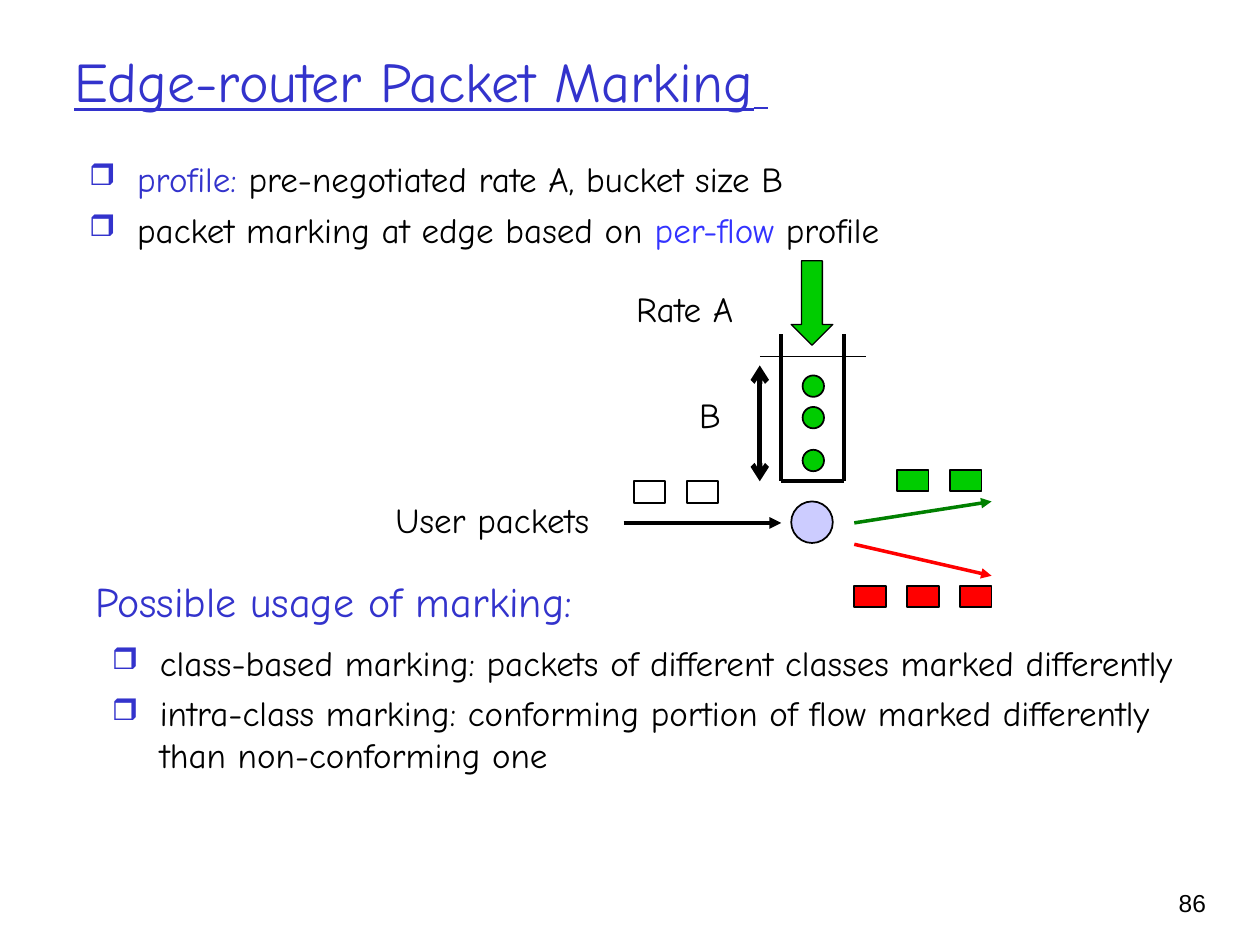
from dataclasses import dataclass
from typing import Optional

from lxml import etree
from pptx import Presentation
from pptx.dml.color import RGBColor
from pptx.enum import shapes, text
from pptx.oxml import ns
from pptx.util import Inches, Pt

KIND = shapes.MSO_SHAPE


@dataclass(frozen=True)
class Theme:
    blue: str = "3333CC"
    bright_blue: str = "3333FF"
    black: str = "000000"
    white: str = "FFFFFF"
    green: str = "00CC00"
    dark_green: str = "008000"
    red: str = "FF0000"
    lavender: str = "CCCCFF"
    font: str = "Comic Neue"
    number_font: str = "Arial"
    title: float = 32
    heading: float = 24
    body: float = 20
    number: float = 14


THEME = Theme()


@dataclass(frozen=True)
class Run:
    words: str
    color: str = THEME.black
    size: float = THEME.body
    font: str = THEME.font
    underline: bool = False


@dataclass(frozen=True)
class TextBox:
    left: float
    top: float
    width: float
    height: float
    paragraphs: tuple[tuple[Run, ...], ...]
    space_before: float = 0
    bulleted: bool = False
    grows: bool = False
    anchor: text.MSO_ANCHOR = text.MSO_ANCHOR.TOP
    align: text.PP_ALIGN = text.PP_ALIGN.LEFT


@dataclass(frozen=True)
class Figure:
    kind: shapes.MSO_SHAPE
    left: float
    top: float
    width: float
    height: float
    fill: str
    line_width: float = 1


@dataclass(frozen=True)
class Line:
    start: tuple[float, float]
    end: tuple[float, float]
    width: float
    color: str = THEME.black
    head: Optional[str] = None
    tail: Optional[str] = None


def rgb(value: str) -> RGBColor:
    return RGBColor.from_string(value)


def add_bullet(paragraph) -> None:
    """Hang the paragraph behind a blue box bullet."""
    properties = paragraph._p.get_or_add_pPr()
    properties.set("marL", str(Inches(0.38)))
    properties.set("indent", str(Inches(-0.38)))
    color = etree.SubElement(properties, ns.qn("a:buClr"))
    etree.SubElement(color, ns.qn("a:srgbClr"), val=THEME.blue)
    etree.SubElement(properties, ns.qn("a:buSzPct"), val="85000")
    etree.SubElement(properties, ns.qn("a:buChar"), char="❒")


def draw_text(slide, box: TextBox) -> None:
    shape = slide.shapes.add_textbox(*map(Inches, (box.left, box.top, box.width, box.height)))
    sizing = text.MSO_AUTO_SIZE
    frame = shape.text_frame
    frame_format = {
        "word_wrap": True,
        "vertical_anchor": box.anchor,
        "auto_size": sizing.SHAPE_TO_FIT_TEXT if box.grows else sizing.NONE,
    }
    for name, value in frame_format.items():
        setattr(frame, name, value)
    for index, runs in enumerate(box.paragraphs):
        paragraph = frame.add_paragraph() if index else frame.paragraphs[0]
        paragraph.alignment = box.align
        paragraph.space_before = Pt(box.space_before)
        if box.bulleted:
            add_bullet(paragraph)
        for item in runs:
            run = paragraph.add_run()
            run.text = item.words
            run_format = {"name": item.font, "size": Pt(item.size), "underline": item.underline}
            for name, value in run_format.items():
                setattr(run.font, name, value)
            run.font.color.rgb = rgb(item.color)


def draw_figure(slide, figure: Figure) -> None:
    place = map(Inches, (figure.left, figure.top, figure.width, figure.height))
    shape = slide.shapes.add_shape(figure.kind, *place)
    shape.shadow.inherit = False
    shape.fill.solid()
    shape.fill.fore_color.rgb = rgb(figure.fill)
    shape.line.color.rgb = rgb(THEME.black)
    shape.line.width = Pt(figure.line_width)


def draw_line(slide, line: Line) -> None:
    connector = slide.shapes.add_connector(
        shapes.MSO_CONNECTOR.STRAIGHT, *map(Inches, line.start + line.end))
    connector.line.color.rgb = rgb(line.color)
    connector.line.width = Pt(line.width)
    outline = connector.line._get_or_add_ln()
    for tag, arrow in (("a:headEnd", line.head), ("a:tailEnd", line.tail)):
        if arrow:
            etree.SubElement(outline, ns.qn(tag), type=arrow)
    etree.SubElement(connector._element.spPr, ns.qn("a:effectLst"))


def packets(left: float, top: float, count: int, fill: str) -> list[Figure]:
    """A row of equally spaced packets."""
    return [Figure(KIND.RECTANGLE, left + 0.42 * index, top, 0.25, 0.17, fill)
            for index in range(count)]


TEXTS = [
    TextBox(0.49, 0.26, 8.5, 0.75, ((
        Run("Edge-router Packet Marking", THEME.blue, THEME.title, underline=True),
        Run(" ", THEME.blue, THEME.heading, underline=True)),),
        anchor=text.MSO_ANCHOR.MIDDLE),
    TextBox(0.61, 1.2, 8.75, 1, (
        (Run("profile: ", THEME.blue), Run("pre-negotiated rate A, bucket size B")),
        (Run("packet marking at edge based on "), Run("per-flow", THEME.bright_blue),
         Run(" profile"))), space_before=5, bulleted=True),
    TextBox(0.66, 4.52, 4.92, 0.5, (
        (Run("Possible usage of marking:", THEME.blue, THEME.heading),),),
        space_before=15, grows=True),
    TextBox(0.79, 5.04, 9, 2, (
        (Run("class-based marking: packets of different classes marked differently"),),
        (Run("intra-class marking: conforming portion of flow marked differently "
             "than non-conforming one"),)), space_before=5, bulleted=True),
    TextBox(3.04, 3.91, 2.33, 0.44, ((Run("User packets"),),), space_before=12.5, grows=True),
    TextBox(4.95, 2.23, 1.25, 0.44, ((Run("Rate A"),),), space_before=12.5, grows=True),
    TextBox(5.45, 3.07, 0.38, 0.44, ((Run("B"),),), grows=True),
    TextBox(8.93, 7, 0.74, 0.5, (
        (Run("86", size=THEME.number, font=THEME.number_font),),), align=text.PP_ALIGN.RIGHT),
]

BUCKET_LEFT, BUCKET_RIGHT, BUCKET_BOTTOM = 6.2, 6.7, 3.82
BUCKET_JOINT, BUCKET_TOP = 3.07, 2.65

FIGURES = [
    *packets(5.03, 3.82, 2, THEME.white),
    *packets(7.12, 3.73, 2, THEME.green),
    *packets(6.78, 4.65, 3, THEME.red),
    *(Figure(KIND.OVAL, 6.37, top, 0.17, 0.17, THEME.green) for top in (2.98, 3.23, 3.57)),
    Figure(KIND.OVAL, 6.28, 3.98, 0.33, 0.33, THEME.lavender),
    Figure(KIND.DOWN_ARROW, 6.28, 2.07, 0.33, 0.67, THEME.green, 0.75),
]

LINES = [
    *(Line((side, BUCKET_JOINT), (side, end), width)
      for side in (BUCKET_LEFT, BUCKET_RIGHT)
      for end, width in ((BUCKET_BOTTOM, 2.25), (BUCKET_TOP, 2))),
    Line((BUCKET_LEFT, BUCKET_BOTTOM), (BUCKET_RIGHT, BUCKET_BOTTOM), 2.25),
    Line((6.03, 2.83), (6.87, 2.83), 0.75),
    Line((6.03, 2.9), (6.03, BUCKET_BOTTOM), 3, head="arrow", tail="arrow"),
    Line((4.95, 4.15), (6.2, 4.15), 2.25, tail="triangle"),
    Line((6.78, 4.15), (7.87, 3.98), 2, THEME.dark_green, tail="triangle"),
    Line((6.78, 4.32), (7.87, 4.57), 2, THEME.red, tail="triangle"),
]


def main() -> None:
    presentation = Presentation()
    presentation.slide_width, presentation.slide_height = Inches(10), Inches(7.5)
    slide = presentation.slides.add_slide(presentation.slide_layouts[6])
    for draw, items in ((draw_text, TEXTS), (draw_figure, FIGURES), (draw_line, LINES)):
        for item in items:
            draw(slide, item)
    presentation.save("out.pptx")


if __name__ == "__main__":
    main()
